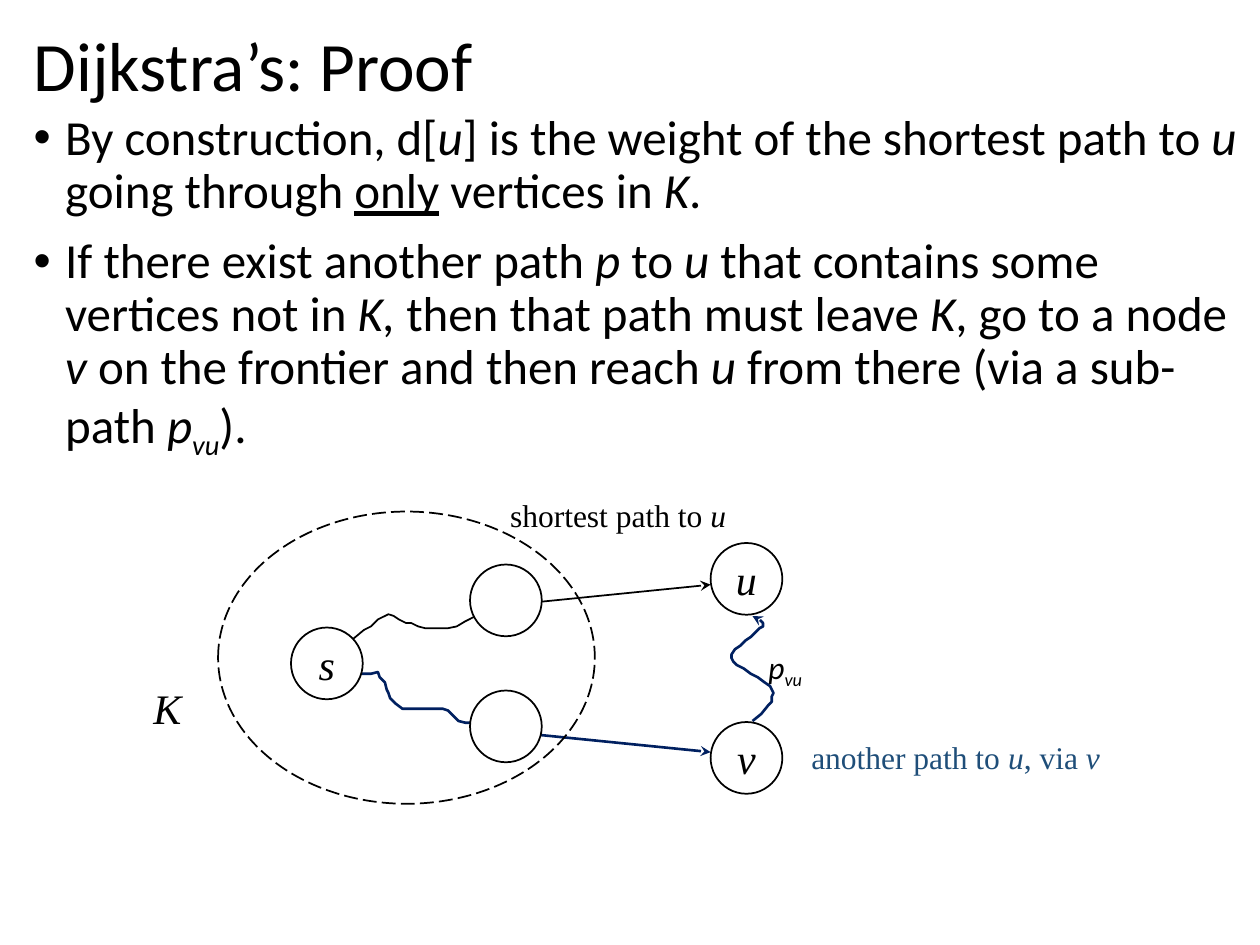
from lxml.etree import SubElement
from pptx import Presentation
from pptx.dml.color import RGBColor
from pptx.enum.dml import MSO_LINE
from pptx.enum.shapes import MSO_CONNECTOR, MSO_SHAPE
from pptx.enum.text import MSO_ANCHOR, PP_ALIGN
from pptx.oxml.ns import qn
from pptx.util import Pt

BLACK, NAVY, BLUE, WHITE = "000000", "002060", "1F4E79", "FFFFFF"
SERIF = "Times New Roman"


def add_runs(para, runs, size, font="Calibri", color=BLACK):
    """Style letters: i italic, u underlined, s subscript."""
    for text, style in runs:
        span = para.add_run()
        span.text = text
        span.font.size = Pt(size)
        span.font.name = font
        span.font.color.rgb = RGBColor.from_string(color)
        span.font.italic = "i" in style
        span.font.underline = "u" in style
        if "s" in style:
            span.font._element.set("baseline", "-25000")


def style_line(shape, color, width, arrow=False):
    shape.line.color.rgb = RGBColor.from_string(color)
    shape.line.width = Pt(width)
    if arrow:
        SubElement(shape.line._get_or_add_ln(), qn("a:tailEnd"), type="stealth")
    properties = shape._element.spPr
    if properties.find(qn("a:effectLst")) is None:
        SubElement(properties, qn("a:effectLst"))


deck = Presentation()
deck.slide_width, deck.slide_height = Pt(720), Pt(540)
page = deck.slides.add_slide(deck.slide_layouts[6])
shapes = page.shapes

# Title
title = shapes.add_textbox(Pt(12.2), Pt(13), Pt(692.6), Pt(53.3)).text_frame
title.word_wrap = True
title.vertical_anchor = MSO_ANCHOR.MIDDLE
title.paragraphs[0].line_spacing = 0.9
add_runs(title.paragraphs[0], [("Dijkstra’s: Proof", "")], 39.6)

# Bulleted argument
bullets = [
    [("By construction, d[", ""), ("u", "i"),
     ("] is the weight of the shortest path to ", ""), ("u", "i"),
     (" going through ", ""), ("only", "u"), (" vertices in ", ""),
     ("K", "i"), (".", "")],
    [("If there exist another path ", ""), ("p", "i"), (" to ", ""), ("u", "i"),
     (" that contains some vertices not in ", ""), ("K,", "i"),
     (" then that path must leave ", ""), ("K", "i"), (", go to a node ", ""),
     ("v", "i"), (" on the frontier and then reach ", ""), ("u ", "i"),
     ("from there (via a sub-path ", ""), ("p", "i"), ("vu", "is"), (").", "")],
]
body = shapes.add_textbox(Pt(12.2), Pt(61.2), Pt(707.8), Pt(412.6)).text_frame
body.word_wrap = True
for index, runs in enumerate(bullets):
    para = body.add_paragraph() if index else body.paragraphs[0]
    para.line_spacing = 0.9
    para.space_before = Pt(10)
    properties = para._p.get_or_add_pPr()
    properties.set("marL", str(Pt(18)))
    properties.set("indent", str(-Pt(18)))
    SubElement(properties, qn("a:buFont"), typeface="Arial")
    SubElement(properties, qn("a:buChar"), char="•")
    add_runs(para, runs, 28)

# Wavy paths: s to each inner node, and v to u
upper_path = [
    (195.8, 370.1), (198.7, 368.6), (202.3, 365), (208.1, 360), (211.7, 357.8),
    (216, 354.2), (219.6, 352.1), (221.8, 351.4), (224.6, 352.1), (228.2, 354.2),
    (231.8, 355.7), (234.7, 356.4), (239, 357.8), (242.6, 359.3), (256.3, 359.3),
    (260.6, 357.8), (266.4, 355), (270, 352.8), (273.6, 351.4), (275.8, 349.2),
    (278.6, 348.5), (282.2, 347)]
lower_path = [
    (201.6, 388.1), (205.2, 385.2), (212.4, 385.2), (216, 384.5), (217.4, 387.4),
    (219.6, 390.2), (221, 393.8), (221.8, 396), (223.2, 398.9), (226.1, 401.8),
    (230.4, 404.6), (252.7, 404.6), (256.3, 406.1), (259.2, 409), (262.1, 411.8),
    (265.7, 413.3), (268.6, 413.3), (271.4, 414), (280.1, 417.6)]
v_to_u_path = [
    (429.8, 411.8), (434.9, 407.5), (439.2, 403.2), (440.6, 401), (441.4, 398.2),
    (442.1, 396), (441.4, 393.8), (439.9, 391.7), (437, 389.5), (433.4, 387.4),
    (429.1, 385.2), (424.8, 382.3), (421.2, 380.2), (419, 378), (418.3, 375.8),
    (418.3, 373.7), (419.8, 370.8), (422.6, 368.6), (425.5, 366.5), (429.1, 363.6),
    (432, 361.4), (434.2, 359.3), (435.6, 357.8), (436.3, 356.4), (435.6, 355.7),
    (434.2, 353.5), (430.6, 352.8), (430.6, 352.1), (429.8, 352.1)]
for points, color, width, arrow in [
    (upper_path, BLACK, 1, False),
    (lower_path, NAVY, 1.5, False),
    (v_to_u_path, NAVY, 1.5, True),
]:
    builder = shapes.build_freeform(*points[0], scale=Pt(1))
    builder.add_line_segments(points[1:], close=False)
    curve = builder.convert_to_shape()
    curve.fill.background()
    style_line(curve, color, width, arrow)

# Straight edges leaving K
for start_y, end_y, color, width in [
    (345.6, 334.1, BLACK, 1), (418.3, 429.8, NAVY, 1.5),
]:
    edge = shapes.add_connector(
        MSO_CONNECTOR.STRAIGHT, Pt(291.6), Pt(start_y), Pt(406.1), Pt(end_y))
    style_line(edge, color, width, arrow=True)

# Nodes
for name, left, top in [
    ("s", 166.3, 358.6), ("", 268.6, 322.6), ("", 268.6, 394.6),
    ("u", 406.1, 310.3), ("v", 406.1, 412.6),
]:
    node = shapes.add_shape(MSO_SHAPE.OVAL, Pt(left), Pt(top), Pt(41), Pt(41))
    node.fill.solid()
    node.fill.fore_color.rgb = RGBColor.from_string(WHITE)
    style_line(node, BLACK, 1)
    if name:
        node.text_frame.word_wrap = False
        node.text_frame.vertical_anchor = MSO_ANCHOR.MIDDLE
        para = node.text_frame.paragraphs[0]
        para.alignment = PP_ALIGN.CENTER
        add_runs(para, [(name, "i")], 24, SERIF)

# Dashed boundary of K
boundary = shapes.add_shape(
    MSO_SHAPE.OVAL, Pt(124.6), Pt(292.3), Pt(215.3), Pt(167))
boundary.fill.background()
style_line(boundary, BLACK, 1)
boundary.line.dash_style = MSO_LINE.LONG_DASH

# Labels
for left, top, width, height, runs, size, font, color in [
    (80.6, 386.6, 31, 36.7, [("K", "i")], 24, SERIF, BLACK),
    (284.4, 280.1, 138.2, 28.8,
     [("shortest path to ", ""), ("u", "i")], 18, SERIF, BLACK),
    (456.5, 418.3, 180.7, 28.8,
     [("another path to ", ""), ("u", "i"), (", via ", ""), ("v", "i")],
     18, SERIF, BLUE),
    (432, 366.5, 35.3, 28.8, [("p", "i"), ("vu", "is")], 18, "Calibri", BLACK),
]:
    label = shapes.add_textbox(Pt(left), Pt(top), Pt(width), Pt(height))
    label.text_frame.word_wrap = False
    add_runs(label.text_frame.paragraphs[0], runs, size, font, color)

deck.save("out.pptx")
